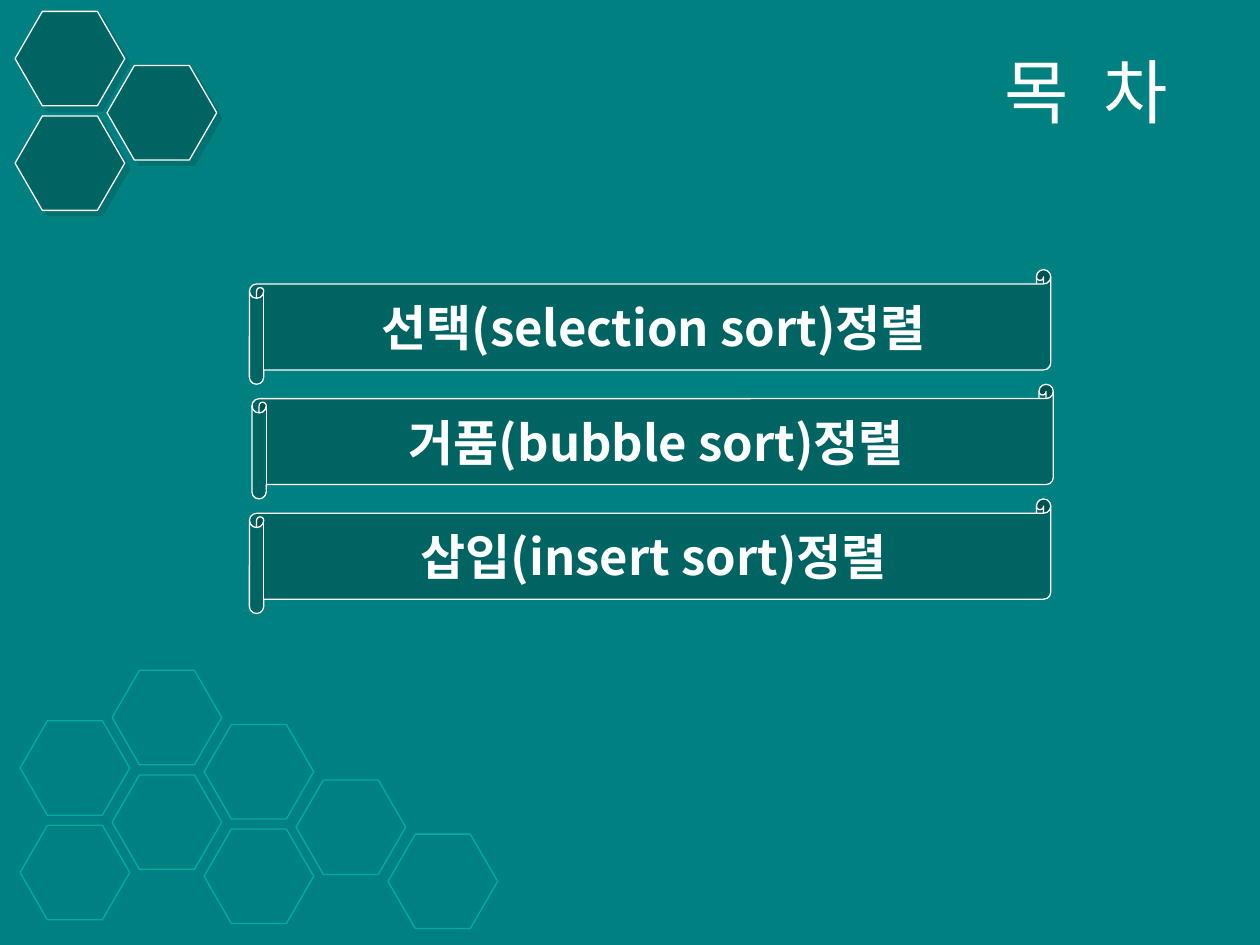
from typing import NamedTuple, Optional

from lxml.etree import SubElement
from pptx import Presentation
from pptx.dml.color import RGBColor
from pptx.enum.shapes import MSO_SHAPE as SHAPE
from pptx.enum.text import MSO_ANCHOR as ANCHOR, PP_ALIGN as ALIGN
from pptx.oxml.ns import qn
from pptx.util import Inches, Pt

COLORS = {"teal": "008080", "dark": "006462", "bright": "00ACA8", "white": "FFFFFF"}
KOREAN_FONT = "Noto Sans CJK KR"
HEX_W, HEX_H = 0.87, 0.75
HEX_DX, HEX_DY = 0.73, 0.83
SCROLL_W, SCROLL_H = 6.36, 0.91


class HexColumn(NamedTuple):
    """A vertical stack of hexagons."""
    top: float
    count: int


class Cluster(NamedTuple):
    """Side-by-side hexagon columns with a common style."""
    left: float
    columns: list[HexColumn]
    line: str
    fill: Optional[str] = None


class Topic(NamedTuple):
    """One entry of the contents list."""
    left: float
    text: str


CLUSTERS = [
    Cluster(0.16, [HexColumn(5.72, 2), HexColumn(5.32, 2), HexColumn(5.75, 2),
                   HexColumn(6.19, 1), HexColumn(6.62, 1)], "bright"),
    Cluster(0.12, [HexColumn(0.09, 2), HexColumn(0.52, 1)], "white", "dark"),
]
TOPICS = [
    Topic(1.98, "선택(selection sort)정렬"),
    Topic(2.0, "거품(bubble sort)정렬"),
    Topic(1.98, "삽입(insert sort)정렬"),
]


def rgb(name: str) -> RGBColor:
    """Look up a palette colour."""
    return RGBColor.from_string(COLORS[name])


def add_outlined(slide, kind, box: tuple, line: str, fill: Optional[str]):
    """Add a preset shape with a thin outline and no shadow."""
    sp = slide.shapes.add_shape(kind, *map(Inches, box))
    sp.shadow.inherit = False
    sp.line.color.rgb = rgb(line)
    sp.line.width = Pt(0.75)
    if fill:
        sp.fill.solid()
        sp.fill.fore_color.rgb = rgb(fill)
    else:
        sp.fill.background()
    return sp


def add_shadow(sp) -> None:
    """Give a shape a hard, half-transparent shadow to the lower right."""
    effects = sp._element.spPr.find(qn("a:effectLst"))
    shadow = SubElement(effects, qn("a:outerShdw"), dist=str(Pt(4.2)),
                        dir="2700000", algn="ctr", rotWithShape="0")
    color = SubElement(shadow, qn("a:srgbClr"), val=COLORS["dark"])
    SubElement(color, qn("a:alpha"), val="50000")


def add_cluster(slide, cluster: Cluster) -> None:
    """Draw a honeycomb column by column."""
    for i, column in enumerate(cluster.columns):
        for j in range(column.count):
            box = (cluster.left + i * HEX_DX, column.top + j * HEX_DY, HEX_W, HEX_H)
            sp = add_outlined(slide, SHAPE.HEXAGON, box, cluster.line, cluster.fill)
            sp.adjustments[0] = 0.289
            if cluster.fill:
                add_shadow(sp)


def add_run(p, text: str, **font):
    """Append a white run with the given font values."""
    r = p.add_run()
    r.text = text
    for key, value in font.items():
        setattr(r.font, key, value)
    r.font.color.rgb = rgb("white")
    SubElement(r.font._element, qn("a:ea"), typeface=KOREAN_FONT)
    return r


def add_title(slide) -> None:
    """Add the right-aligned title with a widened word gap."""
    tf = slide.shapes.add_textbox(*map(Inches, (1.85, 0.28, 7.52, 0.87))).text_frame
    tf.word_wrap = True
    tf.vertical_anchor = ANCHOR.MIDDLE
    p = tf.paragraphs[0]
    p.alignment = ALIGN.RIGHT
    runs = [add_run(p, text, name="Arial", size=Pt(40)) for text in ("목", " ", "차")]
    runs[1].font._element.set("spc", "1100")


def add_topic(slide, topic: Topic, top: float) -> None:
    """Add one scroll with its centred label."""
    box = (topic.left, top, SCROLL_W, SCROLL_H)
    tf = add_outlined(slide, SHAPE.HORIZONTAL_SCROLL, box, "white", "dark").text_frame
    tf.vertical_anchor = ANCHOR.MIDDLE
    p = tf.paragraphs[0]
    p.alignment = ALIGN.CENTER
    add_run(p, topic.text, name=KOREAN_FONT, size=Pt(28), bold=True)


def main() -> None:
    """Build and save the contents slide."""
    prs = Presentation()
    prs.slide_width, prs.slide_height = Inches(10), Inches(7.5)
    slide = prs.slides.add_slide(prs.slide_layouts[6])
    slide.background.fill.solid()
    slide.background.fill.fore_color.rgb = rgb("teal")
    for cluster in CLUSTERS:
        add_cluster(slide, cluster)
    add_title(slide)
    for i, topic in enumerate(TOPICS):
        add_topic(slide, topic, 2.14 + i * SCROLL_H)
    prs.save("out.pptx")


main()
